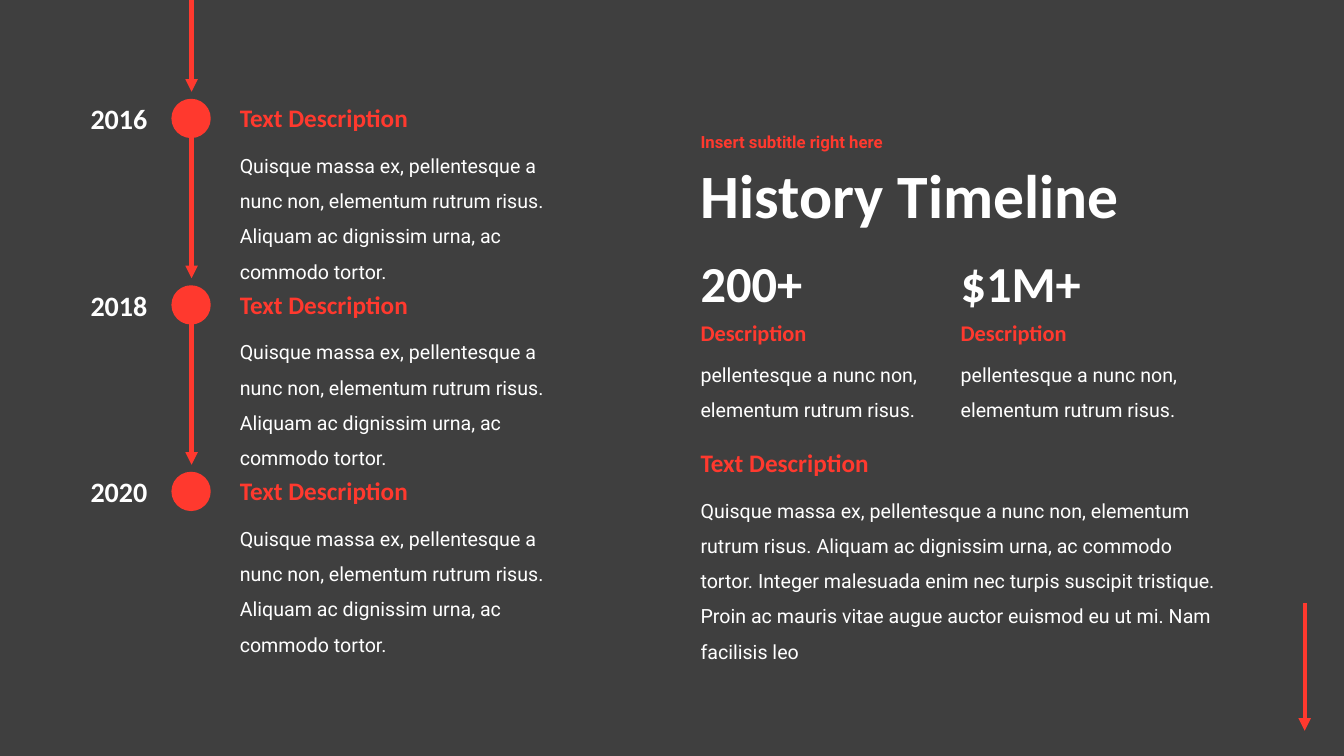
"""Build a dark history timeline slide with three milestones and two key figures."""
from pptx import Presentation
from pptx.dml.color import RGBColor
from pptx.enum.shapes import MSO_CONNECTOR as Line, MSO_SHAPE as Shape
from pptx.enum.text import MSO_ANCHOR as Anchor, MSO_AUTO_SIZE as Fit, PP_ALIGN as Align
from pptx.oxml.ns import qn
from pptx.util import Inches, Pt
from lxml.etree import SubElement

RED, WHITE, DARK = "FF392E", "FFFFFF", "3F3F3F"
HEAD, BODY = "Calibri", "Roboto"
LOREM = ("Quisque massa ex, pellentesque a nunc non, elementum rutrum risus. "
         "Aliquam ac dignissim urna, ac commodo tortor.")
MORE = (" Integer malesuada enim nec turpis suscipit tristique. "
        "Proin ac mauris vitae augue auctor euismod eu ut mi. Nam facilisis leo")
AXIS, NOTE, MAIN = 1.9, 2.28, 6.85
color = RGBColor.from_string

deck = Presentation()
deck.slide_width, deck.slide_height = Inches(13.33), Inches(7.5)
slide = deck.slides.add_slide(deck.slide_layouts[5])
slide.background.fill.solid()
slide.background.fill.fore_color.rgb = color(DARK)
shapes = slide.shapes


def write(text, left, top, width, height, size, hue=WHITE, face=HEAD,
          space=1.0, align=Align.LEFT, anchor=Anchor.TOP, box=None):
    box = box or shapes.add_textbox(0, 0, 0, 0)
    box.left, box.top, box.width, box.height = map(Inches, (left, top, width, height))
    frame = box.text_frame
    frame.word_wrap, frame.auto_size, frame.vertical_anchor = True, Fit.NONE, anchor
    line = frame.paragraphs[0]
    line.text, line.alignment, line.line_spacing = text, align, space
    font = line.font
    font.name, font.size, font.color.rgb = face, Pt(size), color(hue)
    font.bold = face == HEAD or hue == RED


def arrow(x, start, end):
    link = shapes.add_connector(Line.STRAIGHT, *map(Inches, (x, start, x, end)))
    link.line.color.rgb, link.line.width = color(RED), Pt(3)
    SubElement(link.line._get_or_add_ln(), qn("a:tailEnd"), type="triangle")
    SubElement(link._element.spPr, qn("a:effectLst"))


write("History Timeline", MAIN, 1.45, 6.3, 1.03, 44, space=0.9,
      anchor=Anchor.MIDDLE, box=shapes.title)
write("Insert subtitle right here", MAIN, 1.23, 6.3, 0.38, 12, RED, BODY, 0.9,
      anchor=Anchor.MIDDLE)

for row, year in enumerate(("2016", "2018", "2020")):
    mid = 1.17 + 1.85 * row
    arrow(AXIS, max(0, mid - 1.66), mid - 0.26)
    dot = shapes.add_shape(Shape.OVAL, *map(Inches, (AXIS - 0.2, mid - 0.19, 0.39, 0.39)))
    dot.shadow.inherit = False
    dot.fill.solid()
    dot.fill.fore_color.rgb = color(RED)
    dot.line.fill.background()
    write(year, 0.57, mid - 0.21, 0.99, 0.44, 20, align=Align.RIGHT)
    write("Text Description", NOTE, mid - 0.2, 2.92, 0.4, 18, RED)
    write(LOREM, NOTE, mid + 0.19, 3.47, 1.48, 14, face=BODY, space=1.5)

for col, figure in enumerate(("200+", "$1M+")):
    left = MAIN + 2.58 * col
    write(figure, left, 2.45, 2, 0.71, 36)
    write("Description", left, 3.12, 2, 0.37, 16, RED)
    write("pellentesque a nunc non, elementum rutrum risus.", left, 3.43, 2.53, 0.77, 14,
          face=BODY, space=1.5)

write("Text Description", MAIN, 4.39, 2.92, 0.4, 18, RED)
write(LOREM + MORE, MAIN, 4.78, 5.33, 1.9, 14, face=BODY, space=1.5)
arrow(12.94, 5.98, 7.25)

deck.save("out.pptx")
